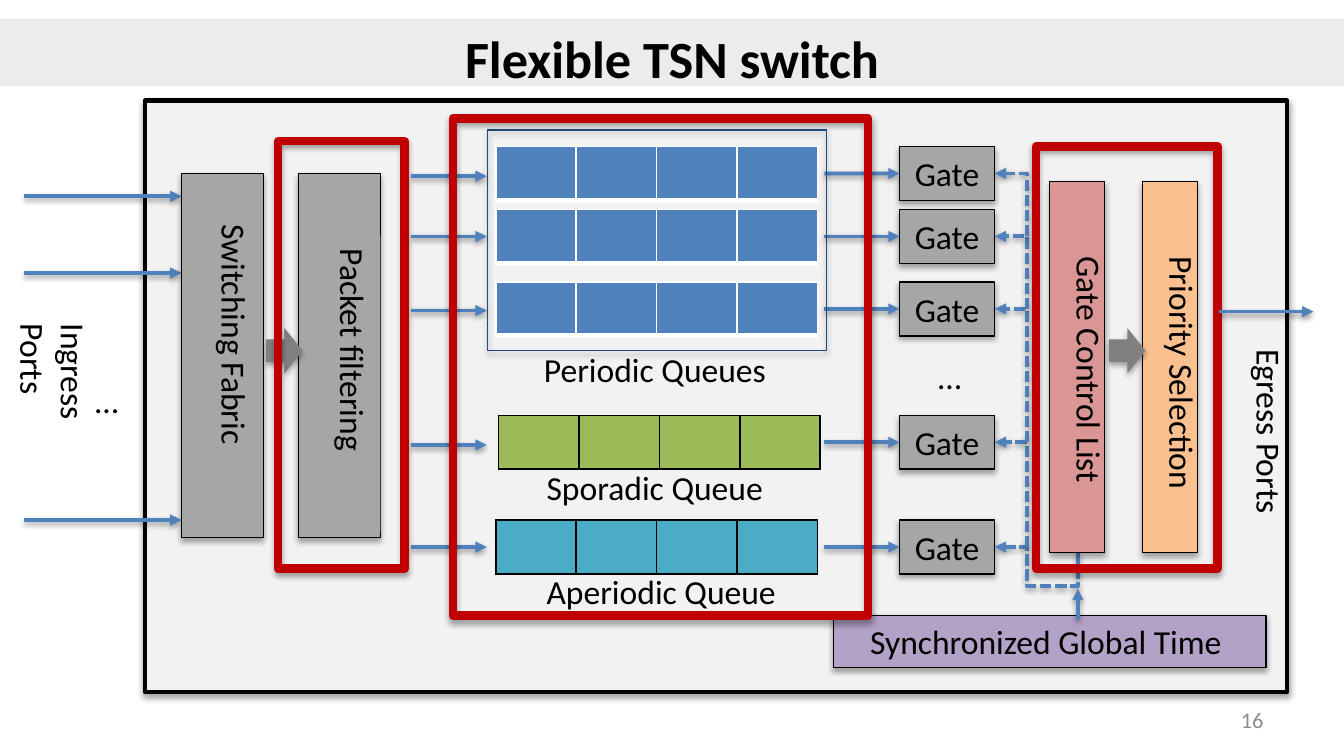
from dataclasses import dataclass
from itertools import pairwise

from lxml.etree import SubElement
from pptx import Presentation
from pptx.dml.color import RGBColor
from pptx.enum.dml import MSO_LINE
from pptx.enum.shapes import MSO_CONNECTOR, MSO_SHAPE
from pptx.enum.text import MSO_ANCHOR, MSO_AUTO_SIZE, PP_ALIGN
from pptx.oxml import parse_xml
from pptx.oxml.ns import nsdecls, qn
from pptx.util import Cm, Pt


@dataclass(frozen=True)
class Theme:
    font: str = "Calibri"
    title_size: int = 28
    body_size: int = 18
    number_size: int = 12
    black: str = "000000"
    white: str = "FFFFFF"
    panel: str = "F2F2F2"
    gray: str = "A6A6A6"
    dark_gray: str = "808080"
    number_gray: str = "8C8C8C"
    blue: str = "4F81BD"
    navy: str = "1F497D"
    green: str = "9BBB59"
    teal: str = "4BACC6"
    red: str = "C00000"
    rose: str = "D99694"
    orange: str = "FAC090"
    purple: str = "B3A2C7"


class Diagram:
    def __init__(self, page, theme):
        self.page, self.theme = page, theme

    def set_text(self, box, text, size=None, color=None, align=None, bold=False):
        para = box.text_frame.paragraphs[0]
        para.text = text
        para.alignment = align
        para.font.name = self.theme.font
        para.font.size = Pt(size or self.theme.body_size)
        para.font.bold = bold
        para.font.color.rgb = RGBColor.from_string(color or self.theme.black)

    def paint(self, box, color):
        box.fill.solid()
        box.fill.fore_color.rgb = RGBColor.from_string(color)

    def title(self, text, left, top, width, height):
        box = self.page.shapes.title
        box.left, box.top, box.width, box.height = map(Cm, (left, top, width, height))
        self.paint(box, self.theme.gray)
        tint = box.fill._xPr.find(qn("a:solidFill"))[0]
        SubElement(tint, qn("a:alpha"), val="21000")
        box.text_frame.auto_size = MSO_AUTO_SIZE.NONE
        box.text_frame.vertical_anchor = MSO_ANCHOR.TOP
        self.set_text(box, text, self.theme.title_size, align=PP_ALIGN.CENTER, bold=True)

    def block(self, left, top, width, height, fill=None, line=None, weight=0.75,
              text=None, shape=MSO_SHAPE.RECTANGLE):
        """Shape with the soft shadow of the deck's theme."""
        box = self.page.shapes.add_shape(shape, *map(Cm, (left, top, width, height)))
        if fill:
            self.paint(box, fill)
        else:
            box.fill.background()
        if line:
            box.line.color.rgb = RGBColor.from_string(line)
            box.line.width = Pt(weight)
        else:
            box.line.fill.background()
        if text:
            self.set_text(box, text, align=PP_ALIGN.CENTER)
        return box

    def label(self, text, left, top, width, height, fill=None, vertical=False, **style):
        box = self.page.shapes.add_textbox(*map(Cm, (left, top, width, height)))
        frame = box.text_frame
        frame.word_wrap = True
        frame.auto_size = MSO_AUTO_SIZE.SHAPE_TO_FIT_TEXT
        if vertical:
            frame._txBody.bodyPr.set("vert", "eaVert")
        if fill:
            self.paint(box, fill)
        self.set_text(box, text, **style)
        return box

    def ellipsis(self, left, top):
        frame = self.label("…", left, top, 0.5, 1.02).text_frame
        frame.margin_left = frame.margin_right = 0
        frame.word_wrap = False

    def arrow(self, x1, y1, x2, y2, kind=MSO_CONNECTOR.STRAIGHT):
        link = self.page.shapes.add_connector(kind, *map(Cm, (x1, y1, x2, y2)))
        link.line.color.rgb = RGBColor.from_string(self.theme.blue)
        link.line.width = Pt(2)
        SubElement(link.line._get_or_add_ln(), qn("a:tailEnd"), type="triangle")
        return link

    def elbow(self, start, end, preset="bentConnector2", turn=270, flip="flipV", adjust=()):
        """Dashed elbow that leaves its start vertically; the frame is a quarter turned."""
        (x1, y1), (x2, y2) = start, end
        across, along = abs(x2 - x1), abs(y2 - y1)
        left, top = (x1 + x2 - along) / 2, (y1 + y2 - across) / 2
        link = self.arrow(left, top, left + along, top + across, MSO_CONNECTOR.ELBOW)
        link.line.dash_style = MSO_LINE.SQUARE_DOT
        properties = link._element.spPr
        frame = properties.find(qn("a:xfrm"))
        frame.set("rot", str(turn * 60000))
        frame.set(flip, "1")
        geometry = properties.find(qn("a:prstGeom"))
        geometry.set("prst", preset)
        for number, value in enumerate(adjust, 1):
            SubElement(geometry.find(qn("a:avLst")), qn("a:gd"),
                       name=f"adj{number}", fmla=f"val {round(value * 100000)}")

    def queue(self, left, top, fill, border, bottom):
        """One row of four cells; bottom is the weight of the lower border."""
        table = self.page.shapes.add_table(1, 4, Cm(left), Cm(top), Cm(6.08), Cm(1.02)).table
        table.first_row = table.horz_banding = False
        for cell in table.iter_cells():
            self.paint(cell, fill)
            weights = {"L": 1, "R": 1, "T": 1, "B": bottom}
            for index, (side, weight) in enumerate(weights.items()):
                cell._tc.get_or_add_tcPr().insert(index, parse_xml(
                    f'<a:ln{side} {nsdecls("a")} w="{Pt(weight)}"><a:solidFill>'
                    f'<a:srgbClr val="{border}"/></a:solidFill></a:ln{side}>'))


def main():
    deck = Presentation()
    deck.slide_width, deck.slide_height = Cm(25.4), Cm(14.29)
    theme = Theme()
    page = deck.slides.add_slide(deck.slide_layouts[5])
    draw = Diagram(page, theme)
    draw.title("Flexible TSN switch", 0, 0.36, 25.4, 1.27)
    draw.label("16", 18.21, 13.23, 5.92, 0.76, size=theme.number_size,
               color=theme.number_gray, align=PP_ALIGN.RIGHT)

    # Switch body and ingress side
    draw.block(2.74, 1.9, 21.59, 11.18, theme.panel, theme.black, 2.25)
    for y in (3.71, 5.16, 9.83):
        draw.arrow(0.46, y, 3.43, y)
    draw.ellipsis(1.8, 7.06)
    draw.label("Ingress Ports", 0.64, 5.87, 1.27, 3.65, vertical=True)

    # Fabric and filter stages
    for text, left, label_left, label_top in (("Switching Fabric", 3.43, 3.68, 3.99),
                                              ("Packet filtering", 5.64, 5.92, 4.45)):
        draw.block(left, 3.28, 1.55, 6.88, theme.gray, theme.black)
        draw.label(text, label_left, label_top, 1.27, 5.61, theme.gray, vertical=True)
    draw.block(5.03, 6.2, 0.69, 0.86, theme.dark_gray, shape=MSO_SHAPE.RIGHT_ARROW)
    draw.block(5.26, 2.67, 2.39, 8.08, line=theme.red, weight=4.5)

    # Lanes: gate centre, feed height, queue left, queue colour, border, lower border
    periodic = (9.37, theme.blue, theme.white, 3)
    lanes = (
        (3.28, 3.33, *periodic),
        (4.47, 4.47, *periodic),
        (5.84, 5.87, *periodic),
        (8.36, 8.41, 9.42, theme.green, theme.black, 1),
        (10.34, 10.34, 9.37, theme.teal, theme.black, 1),
    )
    for centre, feed, left, fill, border, bottom in lanes:
        draw.arrow(7.77, feed, 9.2, feed)
        draw.queue(left, centre - 0.51, fill, border, bottom)
        gate = draw.block(17, centre - 0.51, 1.8, 1.02, theme.gray, theme.black, text="Gate")
        draw.arrow(15.58, centre, 17, centre).end_connect(gate, 1)
    draw.block(9.22, 2.46, 6.4, 4.17, line=theme.navy)
    for text, left, top in (("Periodic Queues", 10.03, 6.48),
                            ("Sporadic Queue", 10.08, 8.71),
                            ("Aperiodic Queue", 10.08, 10.67)):
        draw.label(text, left, top, 5, 1.02)
    draw.ellipsis(17.73, 6.6)

    # Dashed control bus from the gate control list to every gate
    bus, gate_side, list_middle, list_bottom = 19.41, 18.8, 20.37, 10.44
    centres = [lane[0] for lane in reversed(lanes)]
    rise, run = list_bottom - centres[0], list_middle - gate_side
    draw.elbow((list_middle, list_bottom), (gate_side, centres[0]), "bentConnector4", 90,
               "flipH", (-0.64 / rise, (list_middle - bus) / run))
    for lower, upper in pairwise(centres):
        draw.elbow((bus, lower), (gate_side, upper))

    # Gate control and priority selection
    draw.block(19.58, 2.77, 3.43, 7.98, line=theme.red, weight=4.5)
    for text, left, fill in (("Priority Selection", 21.59, theme.orange),
                             ("Gate Control List", 19.84, theme.rose)):
        draw.block(left, 3.43, 1.04, 7.01, fill, theme.black)
        draw.label(text, left, 4.6, 1.27, 5.23, vertical=True)
    draw.block(20.96, 6.2, 0.69, 0.86, theme.dark_gray, shape=MSO_SHAPE.RIGHT_ARROW)

    # Global time, egress side and queue highlight
    draw.block(15.75, 11.63, 8.18, 0.99, theme.purple, theme.black,
               text="Synchronized Global Time ")
    draw.arrow(23.04, 5.89, 24.82, 5.89)
    draw.label("Egress Ports", 23.24, 6.35, 1.27, 3.73, vertical=True)
    draw.block(8.56, 2.24, 7.85, 9.4, line=theme.red, weight=4.5)
    draw.arrow(list_middle, 11.71, list_middle, 11.13)

    deck.save("out.pptx")


if __name__ == "__main__":
    main()
